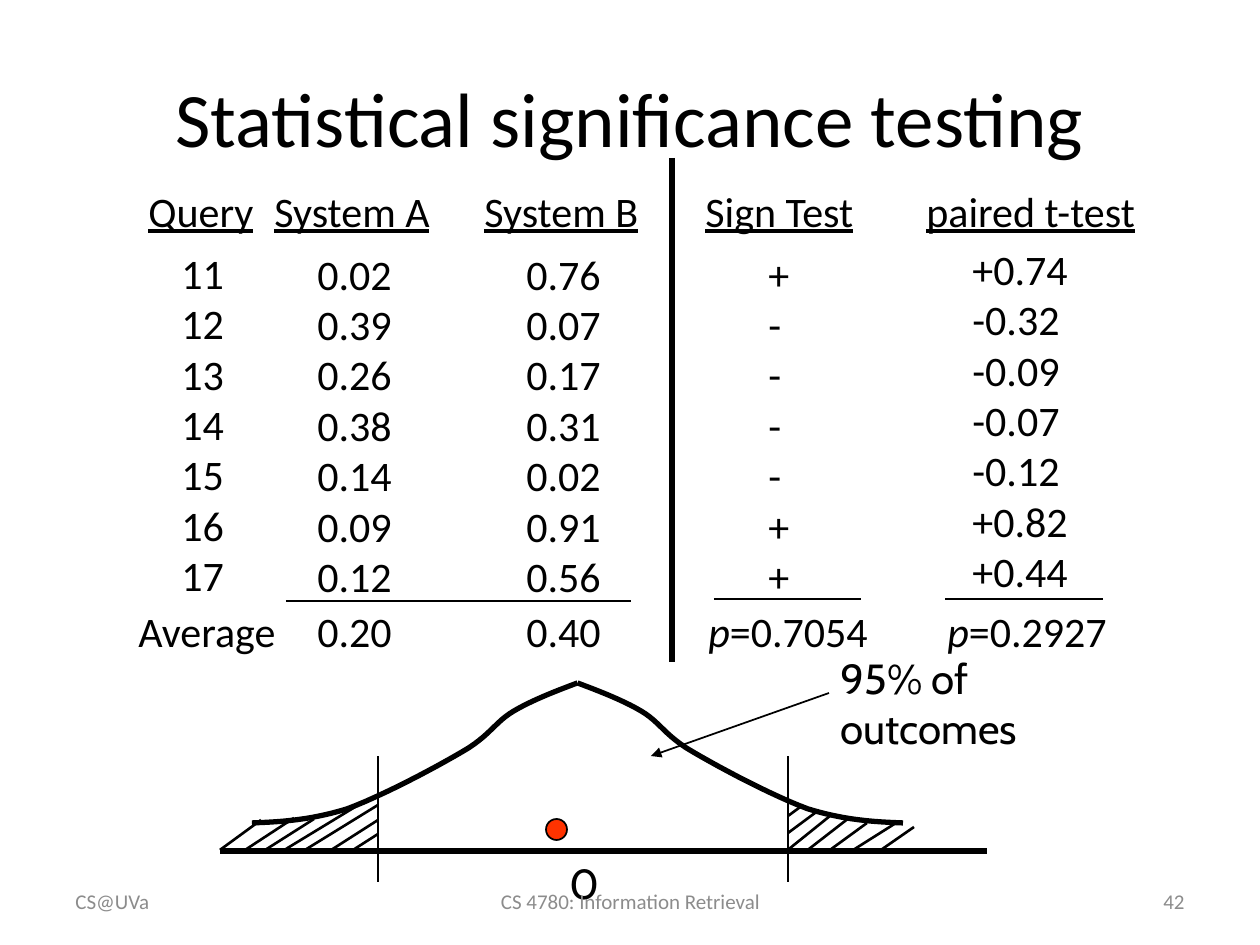
from dataclasses import dataclass

from lxml.etree import SubElement
from pptx import Presentation
from pptx.dml.color import RGBColor
from pptx.enum.shapes import MSO_CONNECTOR as Connector, MSO_SHAPE as Shape
from pptx.enum.text import MSO_ANCHOR as Anchor, MSO_AUTO_SIZE as AutoSize, PP_ALIGN as Align
from pptx.oxml.ns import qn
from pptx.util import Pt


@dataclass(frozen=True)
class Theme:
    ink: RGBColor = RGBColor(0, 0, 0)
    muted: RGBColor = RGBColor(0x8C, 0x8C, 0x8C)
    marker: RGBColor = RGBColor(0xFF, 0x33, 0)
    font: str = "Calibri"
    label_font: str = "Cabin"
    title: int = 44
    body: int = 24
    footer: int = 12
    thin: float = 1
    hatch: float = 1.5
    thick: float = 3


def emu(px):
    return round(px * 914400 / 126)


class SlideBuilder:
    def __init__(self, slide, theme):
        self.slide = slide
        self.theme = theme

    def add_run(self, paragraph, text, size, font=None, color=None, underline=None, italic=None):
        run = paragraph.add_run()
        run.text = text
        run.font.name = font or self.theme.font
        run.font.size = Pt(size)
        run.font.color.rgb = color or self.theme.ink
        run.font.underline = underline
        run.font.italic = italic

    def title(self, text, box):
        shape = self.slide.shapes.title
        shape.left, shape.top, shape.width, shape.height = map(emu, box)
        shape.text_frame.vertical_anchor = Anchor.MIDDLE
        paragraph = shape.text_frame.paragraphs[0]
        paragraph.alignment = Align.CENTER
        self.add_run(paragraph, text, self.theme.title)

    def frame(self, box, wrap=False):
        frame = self.slide.shapes.add_textbox(*map(emu, box)).text_frame
        frame.word_wrap = wrap
        frame.auto_size = AutoSize.SHAPE_TO_FIT_TEXT
        return frame

    def text(self, box, lines, wrap=False, **style):
        frame = self.frame(box, wrap)
        for index, line in enumerate(lines):
            paragraph = frame.add_paragraph() if index else frame.paragraphs[0]
            self.add_run(paragraph, line, self.theme.body, **style)

    def p_value(self, box, value):
        paragraph = self.frame(box).paragraphs[0]
        self.add_run(paragraph, "p", self.theme.body, italic=True)
        self.add_run(paragraph, f"={value}", self.theme.body, italic=False)

    def footer(self, box, text, alignment):
        frame = self.frame(box, wrap=True)
        frame.auto_size = AutoSize.NONE
        frame.vertical_anchor = Anchor.MIDDLE
        paragraph = frame.paragraphs[0]
        paragraph.alignment = alignment
        self.add_run(paragraph, text, self.theme.footer, color=self.theme.muted)

    def line(self, ends, width, arrow=False):
        connector = self.slide.shapes.add_connector(Connector.STRAIGHT, *map(emu, ends))
        connector.line.color.rgb = self.theme.ink
        connector.line.width = Pt(width)
        properties = connector.line._get_or_add_ln()
        if arrow:
            SubElement(properties, qn("a:tailEnd"), type="triangle")
        SubElement(properties.getparent(), qn("a:effectLst"))

    def outline(self, shape, width):
        shape.shadow.inherit = False
        shape.line.color.rgb = self.theme.ink
        shape.line.width = Pt(width)

    def curve(self, points):
        builder = self.slide.shapes.build_freeform(*map(emu, points[0]), scale=1.0)
        builder.add_line_segments([tuple(map(emu, point)) for point in points[1:]], close=False)
        shape = builder.convert_to_shape()
        shape.fill.background()
        self.outline(shape, self.theme.thick)

    def dot(self, box):
        shape = self.slide.shapes.add_shape(Shape.OVAL, *map(emu, box))
        shape.fill.solid()
        shape.fill.fore_color.rgb = self.theme.marker
        self.outline(shape, self.theme.thin)


def bezier_points(knots, steps=12):
    """Sample a chain of cubic Bezier segments as points."""
    points = [knots[0]]
    for start in range(0, len(knots) - 1, 3):
        segment = knots[start:start + 4]
        for step in range(1, steps + 1):
            t = step / steps
            weights = ((1 - t) ** 3, 3 * t * (1 - t) ** 2, 3 * t * t * (1 - t), t ** 3)
            points.append(tuple(sum(w * knot[axis] for w, knot in zip(weights, segment))
                                for axis in (0, 1)))
    return points


HEADER_TOP, SUMMARY_TOP, ROW_HEIGHT, LIST_HEIGHT = 179, 599, 63, 369
COLUMNS = [
    ("Query", 136, 131, 169, 68, 241, "11 12 13 14 15 16 17"),
    ("System A", 262, 181, 305, 100, 242, "0.02 0.39 0.26 0.38 0.14 0.09 0.12"),
    ("System B", 472, 181, 514, 100, 242, "0.76 0.07 0.17 0.31 0.02 0.91 0.56"),
    ("Sign Test", 693, 174, 756, 47, 242, "+ - - - - + +"),
    ("paired t-test", 914, 243, 960, 121, 237, "+0.74 -0.32 -0.09 -0.07 -0.12 +0.82 +0.44"),
]
AVERAGES = [("Average", 126, 164), ("0.20", 305, 100), ("0.40", 514, 100)]
P_VALUES = [("0.7054", 696), ("0.2927", 935)]
RULES = [(286, 601, 631, 601), (714, 599, 861, 599), (945, 599, 1103, 599)]
PEAK = 577.5
LEFT_HALF = [(252, 823), (282, 822), (311, 820), (347, 809), (382, 796), (433, 769), (462, 752),
             (490, 736), (495, 722), (514, 711), (534, 699), (567, 687), (PEAK, 683)]
HATCHING = [
    (378, 820, 328, 852), (378, 805, 305, 850), (360, 804, 286, 849), (378, 834, 353, 850),
    (314, 819, 262, 852), (294, 818, 242, 852), (261, 820, 220, 850),
    (914, 827, 878, 852), (819, 810, 788, 833), (896, 823, 850, 852), (803, 805, 788, 816),
    (867, 823, 830, 850), (849, 818, 809, 849), (830, 816, 789, 849),
]
FOOTERS = [("CS 4780: Information Retrieval", 431, 399, Align.CENTER),
           ("CS@UVa", 63, 294, Align.LEFT), ("42", 903, 294, Align.RIGHT)]


def main():
    presentation = Presentation()
    presentation.slide_width, presentation.slide_height = emu(1260), emu(945)
    theme = Theme()
    slide = presentation.slides.add_slide(presentation.slide_layouts[5])
    builder = SlideBuilder(slide, theme)

    builder.title("Statistical significance testing", (63, 38, 1134, 157))
    for header, left, width, list_left, list_width, list_top, values in COLUMNS:
        builder.text((left, HEADER_TOP, width, ROW_HEIGHT), [header], underline=True)
        builder.text((list_left, list_top, list_width, LIST_HEIGHT), values.split())
    for value, left, width in AVERAGES:
        builder.text((left, SUMMARY_TOP, width, ROW_HEIGHT), [value])
    for value, left in P_VALUES:
        builder.p_value((left, SUMMARY_TOP, 186, ROW_HEIGHT), value)
    for rule in RULES:
        builder.line(rule, theme.thin)
    builder.line((672, 158, 672, 662), theme.thick)

    builder.dot((546, 819, 21, 21))
    builder.line((220, 851, 987, 851), theme.thick)
    half = bezier_points(LEFT_HALF)
    builder.curve(half)
    builder.curve([(2 * PEAK - x, y) for x, y in half])
    builder.text((557, 851, 47, ROW_HEIGHT), ["0"], font=theme.label_font)
    for limit in (378, 788):
        builder.line((limit, 756, limit, 882), theme.thin)
    builder.line((829, 693, 651, 756), theme.thin, arrow=True)
    builder.text((828, 646, 220, 113), ["95% of outcomes"], wrap=True, font=theme.label_font)
    for stroke in HATCHING:
        builder.line(stroke, theme.hatch)

    for text, left, width, alignment in FOOTERS:
        builder.footer((left, 876, width, 50), text, alignment)
    presentation.save("out.pptx")


if __name__ == "__main__":
    main()
